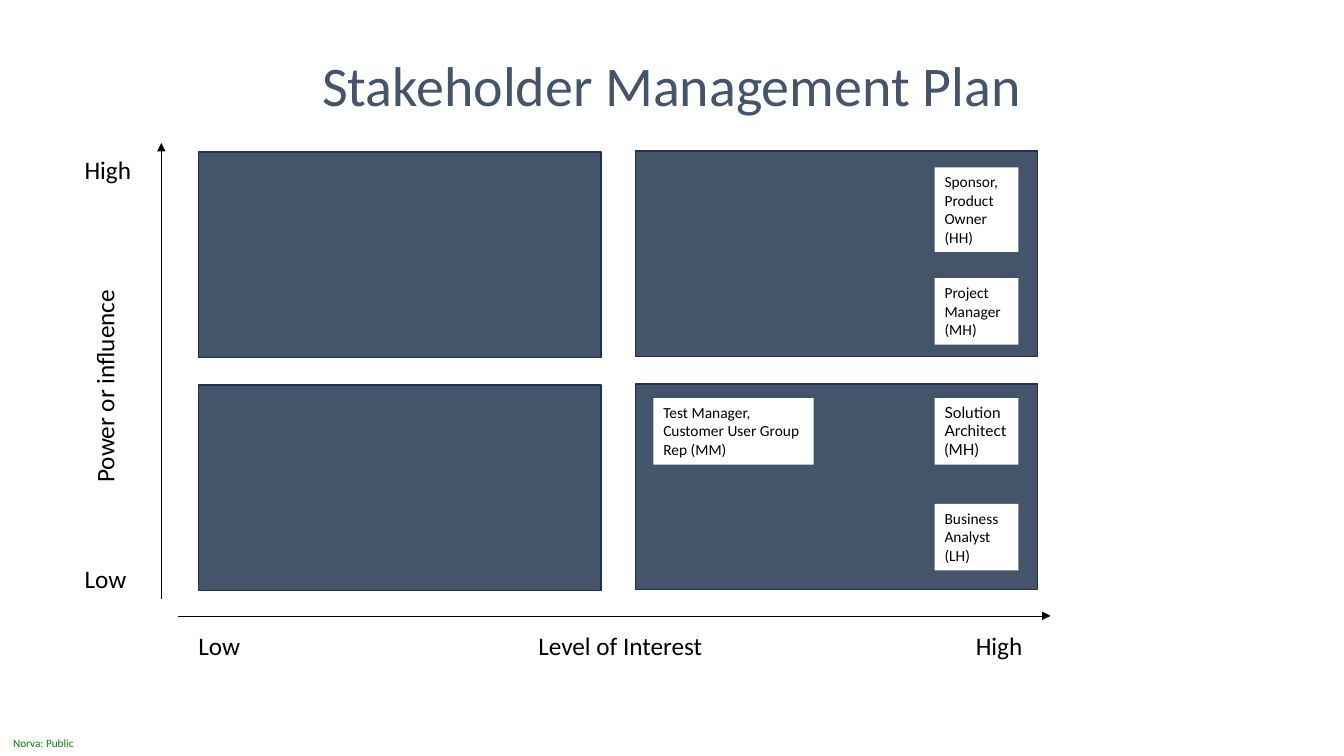
from pptx import Presentation
from pptx.dml.color import RGBColor
from pptx.enum.shapes import MSO_CONNECTOR as Connector, MSO_SHAPE as Shape
from pptx.enum.text import MSO_ANCHOR as Anchor, PP_ALIGN as Align
from pptx.oxml.ns import qn
from pptx.util import Inches, Pt
from lxml import etree

BLACK = RGBColor(0x00, 0x00, 0x00)
WHITE = RGBColor(0xFF, 0xFF, 0xFF)
SLATE = RGBColor(0x44, 0x54, 0x6A)
NAVY = RGBColor(0x1E, 0x32, 0x56)
GREEN = RGBColor(0x00, 0x80, 0x00)

TITLE = "Stakeholder Management Plan"
FOOTER = "Norva: Public"

AXIS_ENDS = [
    ("Low", 1.87, 6.2),
    ("High", 9.58, 6.2),
    ("Low", 0.74, 5.54),
    ("High", 0.74, 1.48),
]
AXIS_NAMES = [
    ("Power or influence", -0.49, 3.16, 270),
    ("Level of Interest", 5.24, 6.2, 0),
]
AXIS_LINES = [
    ((1.6, 5.94), (1.6, 1.42)),
    ((1.77, 6.11), (10.42, 6.11)),
]
QUADRANT_COLUMNS = [(1.97, 0.01), (6.3, 0)]
QUADRANT_ROWS = [1.5, 3.81]
QUADRANT_SIZE = (3.99, 2.04)

NARROW, WIDE = 0.83, 1.59
STAKEHOLDERS = [
    ("Sponsor, Product Owner (HH)", 9.27, 1.66, NARROW, 0.84, "Calibri"),
    ("Project Manager (MH)", 9.27, 2.76, NARROW, 0.66, "Calibri"),
    ("Solution Architect (MH)", 9.27, 3.95, NARROW, 0.66, "Lato"),
    ("Test Manager, Customer User Group Rep (MM)", 6.48, 3.95, WIDE, 0.66, "Calibri"),
    ("Business Analyst (LH)", 9.27, 5, NARROW, 0.66, "Calibri"),
]

deck = Presentation()
deck.slide_width, deck.slide_height = Inches(13.33), Inches(7.5)
page = deck.slides.add_slide(deck.slide_layouts[6])


def add_text(text, left, top, width, height, size=18, font="Calibri", color=BLACK,
             align=Align.LEFT, anchor=Anchor.TOP, insets=(0.1, 0.05, 0.1, 0.05),
             line_spacing=None, rotation=0, fill=None):
    box = page.shapes.add_textbox(*map(Inches, (left, top, width, height)))
    box.rotation = rotation
    if fill is not None:
        box.fill.solid()
        box.fill.fore_color.rgb = fill
    frame = box.text_frame
    frame.word_wrap = True
    frame.vertical_anchor = anchor
    (frame.margin_left, frame.margin_top,
     frame.margin_right, frame.margin_bottom) = map(Inches, insets)
    para = frame.paragraphs[0]
    para.alignment = align
    para.line_spacing = line_spacing
    span = para.add_run()
    span.text = text
    span.font.size = Pt(size)
    span.font.name = font
    span.font.color.rgb = color


def add_arrow(start, end):
    arrow = page.shapes.add_connector(Connector.STRAIGHT, *map(Inches, start + end))
    arrow.line.color.rgb = BLACK
    arrow.line.width = Pt(0.5)
    etree.SubElement(arrow.line._get_or_add_ln(), qn("a:tailEnd"), type="triangle")
    etree.SubElement(arrow._element.spPr, qn("a:effectLst"))


def add_quadrant(left, top):
    quadrant = page.shapes.add_shape(
        Shape.RECTANGLE, *map(Inches, (left, top) + QUADRANT_SIZE))
    quadrant.shadow.inherit = False
    quadrant.fill.solid()
    quadrant.fill.fore_color.rgb = SLATE
    quadrant.line.color.rgb = NAVY
    quadrant.line.width = Pt(1)


add_text(FOOTER, 0, 7.25, 0.84, 0.25, size=8, color=GREEN,
         anchor=Anchor.MIDDLE, insets=(0.13, 0, 0, 0))
add_text(TITLE, 0.82, 0.27, 11.68, 0.96, size=40, color=SLATE,
         align=Align.CENTER, anchor=Anchor.BOTTOM, line_spacing=0.9)

for start, end in AXIS_LINES:
    add_arrow(start, end)
for name, left, top, rotation in AXIS_NAMES:
    add_text(name, left, top, 3.05, 0.4, rotation=rotation)
for label, left, top in AXIS_ENDS:
    add_text(label, left, top, 0.77, 0.4)

for left, drop in QUADRANT_COLUMNS:
    for top in QUADRANT_ROWS:
        add_quadrant(left, top + drop)

for label, left, top, width, height, font in STAKEHOLDERS:
    add_text(label, left, top, width, height, size=11, font=font, fill=WHITE)

deck.save("out.pptx")
